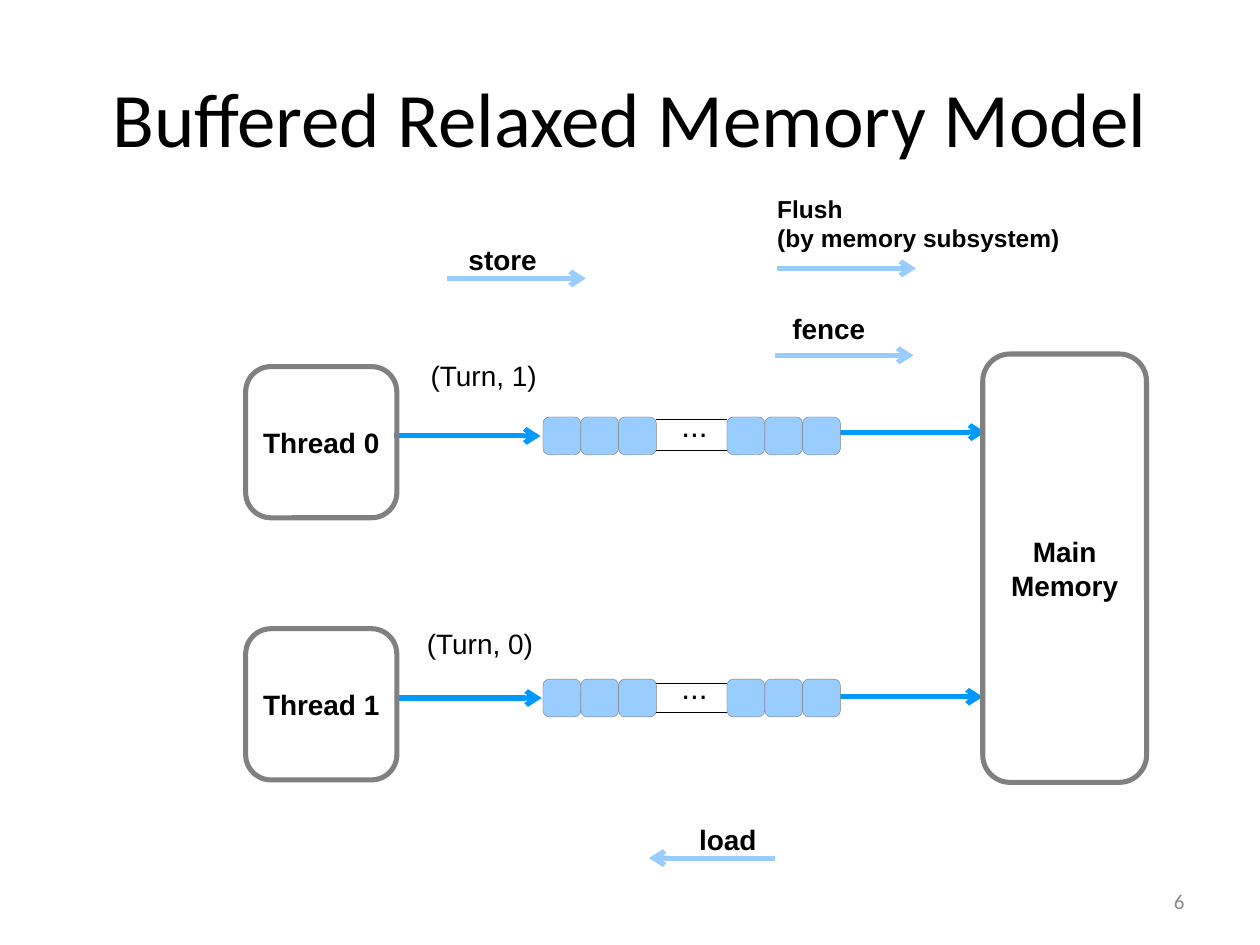
"""Build the slide on the buffered relaxed memory model."""
from lxml import etree
from pptx import Presentation
from pptx.dml.color import RGBColor
from pptx.enum.shapes import MSO_CONNECTOR as Connector, MSO_SHAPE as Shape
from pptx.enum.text import MSO_ANCHOR as Anchor, PP_ALIGN as Align
from pptx.oxml.ns import qn
from pptx.util import Inches, Pt

COLORS = {"text": "000000", "number": "8C8C8C", "border": "808080",
          "cell": "99CCFF", "flow": "0099FF"}
RADIUS = 0.1667
HAIRLINE = 0.25

deck = Presentation()
deck.slide_width, deck.slide_height = Inches(10), Inches(7.5)
slide = deck.slides.add_slide(deck.slide_layouts[6])
shapes = slide.shapes


def write(shape, text, size, bold=False, font="Arial", color="text",
          align=Align.LEFT, anchor=Anchor.TOP, wrap=False):
    frame = shape.text_frame
    frame.text = text
    frame_format = {"word_wrap": wrap, "vertical_anchor": anchor,
                    "margin_left": Inches(0.1), "margin_right": Inches(0.1),
                    "margin_top": Inches(0.05), "margin_bottom": Inches(0.05)}
    for name, value in frame_format.items():
        setattr(frame, name, value)
    for paragraph in frame.paragraphs:
        paragraph.alignment = align
        for name, value in {"name": font, "size": Pt(size), "bold": bold}.items():
            setattr(paragraph.font, name, value)
        paragraph.font.color.rgb = RGBColor.from_string(COLORS[color])


def draw_line(x1, y1, x2, y2, color, width=2.89, arrow=True):
    line = shapes.add_connector(Connector.STRAIGHT, Inches(x1), Inches(y1),
                                Inches(x2), Inches(y2))
    line.line.color.rgb = RGBColor.from_string(COLORS[color])
    line.line.width = Pt(width)
    if arrow:
        etree.SubElement(line.line._get_or_add_ln(), qn("a:tailEnd"), type="arrow")
    etree.SubElement(line._element.spPr, qn("a:effectLst"))


title = shapes.add_textbox(Inches(0.5), Inches(0.3), Inches(9), Inches(1.25))
write(title, "Buffered Relaxed Memory Model", 44, font="Calibri",
      align=Align.CENTER, anchor=Anchor.MIDDLE, wrap=True)

for x1, x2, y, color in [
    (3.13, 4.29, 3.46, "flow"), (6.65, 7.82, 3.43, "flow"),
    (3.14, 4.3, 5.54, "flow"), (6.63, 7.8, 5.53, "flow"),
    (3.55, 4.65, 2.21, "cell"), (6.17, 7.27, 2.13, "cell"),
    (6.15, 7.25, 2.82, "cell"), (6.15, 5.15, 6.81, "cell"),
]:
    draw_line(x1, y, x2, y, color)

for top, rails, dots_top in [(3.31, (3.33, 3.57), 3.17), (5.39, (5.42, 5.65), 5.25)]:
    for rail in rails:
        draw_line(5.21, rail, 5.77, rail, "text", HAIRLINE, arrow=False)
    for group_left in (4.31, 5.77):
        for index in range(3):
            cell = shapes.add_shape(Shape.ROUNDED_RECTANGLE,
                                    Inches(group_left + 0.3 * index), Inches(top),
                                    Inches(0.3), Inches(0.3))
            cell.adjustments[0] = RADIUS
            cell.shadow.inherit = False
            cell.fill.solid()
            cell.fill.fore_color.rgb = RGBColor.from_string(COLORS["cell"])
            cell.line.color.rgb = RGBColor.from_string(COLORS["border"])
            cell.line.width = Pt(HAIRLINE)
    dots = shapes.add_textbox(Inches(5.31), Inches(dots_top), Inches(0.45), Inches(0.38))
    write(dots, "...", 18)

for left, top, width, height, label in [
    (1.95, 2.91, 1.2, 1.2, "Thread 0"),
    (1.95, 4.99, 1.2, 1.2, "Thread 1"),
    (7.8, 2.81, 1.3, 3.4, "Main\nMemory"),
]:
    unit = shapes.add_shape(Shape.ROUNDED_RECTANGLE, Inches(left), Inches(top),
                            Inches(width), Inches(height))
    unit.adjustments[0] = RADIUS
    unit.shadow.inherit = False
    unit.fill.background()
    unit.line.color.rgb = RGBColor.from_string(COLORS["border"])
    unit.line.width = Pt(2.89)
    write(unit, label, 16, bold=True, align=Align.CENTER, anchor=Anchor.MIDDLE)

for left, top, width, height, label, size, bold in [
    (3.62, 1.88, 0.8, 0.37, "store", 16, True),
    (6.07, 1.49, 2.76, 0.57, "Flush\n(by memory subsystem)", 14, True),
    (6.19, 2.42, 0.85, 0.37, "fence", 16, True),
    (5.45, 6.48, 0.75, 0.35, "load", 16, True),
    (3.32, 2.8, 1.1, 0.36, "(Turn, 1)", 16, False),
    (3.29, 4.92, 1.1, 0.36, "(Turn, 0)", 16, False),
]:
    caption = shapes.add_textbox(Inches(left), Inches(top), Inches(width), Inches(height))
    write(caption, label, size, bold, wrap=True)

page_number = shapes.add_textbox(Inches(7.17), Inches(6.95), Inches(2.33), Inches(0.4))
write(page_number, "6", 12, font="Calibri", color="number",
      align=Align.RIGHT, anchor=Anchor.MIDDLE, wrap=True)

deck.save("out.pptx")
